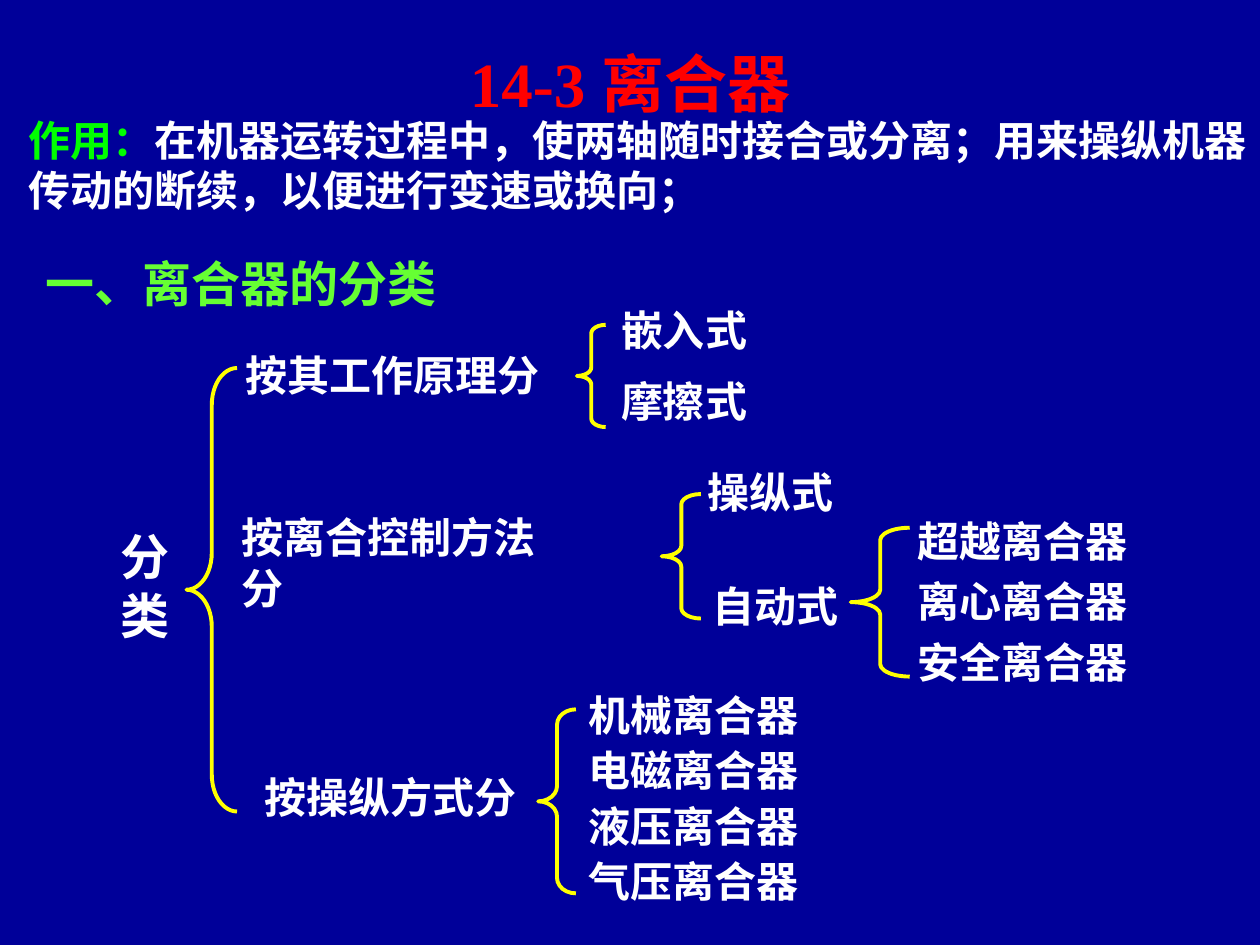
from lxml import etree
from pptx import Presentation
from pptx.dml.color import RGBColor
from pptx.enum.shapes import MSO_SHAPE
from pptx.enum.text import MSO_ANCHOR, MSO_AUTO_SIZE, PP_ALIGN
from pptx.oxml.ns import qn
from pptx.util import Cm, Pt

LEFT_BRACE = MSO_SHAPE.LEFT_BRACE
MIDDLE = MSO_ANCHOR.MIDDLE
TOP = MSO_ANCHOR.TOP
FIT_SHAPE = MSO_AUTO_SIZE.SHAPE_TO_FIT_TEXT
NO_FIT = MSO_AUTO_SIZE.NONE
LEFT = PP_ALIGN.LEFT
CENTER = PP_ALIGN.CENTER

FONT = "Noto Sans CJK SC"
TITLE_FONT = "Times New Roman"
NAVY, WHITE, YELLOW, RED = "000099", "FFFFFF", "FFFF00", "FF0000"
GREEN, LIME = "00FF00", "66FF33"


def rgb(value):
    """Turn a hex string into a colour."""
    return RGBColor.from_string(value)


class SlideBuilder:
    """Hold the style and the current slide."""

    def __init__(self, presentation):
        """Add a title-only slide with a plain background."""
        self.slide = presentation.slides.add_slide(presentation.slide_layouts[5])
        fill = self.slide.background.fill
        fill.solid()
        fill.fore_color.rgb = rgb(NAVY)

    def format(self, paragraph, size, color, align, latin=FONT):
        """Set the alignment and the bold font of a paragraph."""
        paragraph.alignment = align
        font = paragraph.font
        font.name = latin
        font.size = Pt(size)
        font.bold = True
        font.color.rgb = rgb(color)
        properties = paragraph._p.pPr.find(qn("a:defRPr"))
        east_asian = etree.Element(qn("a:ea"), typeface=FONT)
        properties.find(qn("a:latin")).addnext(east_asian)

    def title(self, text, left, top, width, height):
        """Move and format the title placeholder."""
        shape = self.slide.shapes.title
        shape.left, shape.top = Cm(left), Cm(top)
        shape.width, shape.height = Cm(width), Cm(height)
        frame = shape.text_frame
        frame.text = text
        frame.vertical_anchor = MIDDLE
        frame.auto_size = NO_FIT
        self.format(frame.paragraphs[0], 36, RED, CENTER, TITLE_FONT)

    def text(self, lines, left, top, width, height, size=24, color=WHITE,
             align=LEFT, wrap=False, spacing=None, anchor=TOP):
        """Add a text box with one paragraph for each line."""
        shape = self.slide.shapes.add_textbox(Cm(left), Cm(top), Cm(width), Cm(height))
        frame = shape.text_frame
        frame.word_wrap = wrap
        frame.auto_size = FIT_SHAPE
        frame.vertical_anchor = anchor
        for index, line in enumerate(lines):
            paragraph = frame.add_paragraph() if index else frame.paragraphs[0]
            paragraph.add_run().text = line
            paragraph.line_spacing = spacing
            self.format(paragraph, size, color, align)
        return frame

    def purpose(self, label, body, left, top, width, height):
        """Add a wrapped statement that opens with a coloured label."""
        frame = self.text([label], left, top, width, height, wrap=True, anchor=MIDDLE)
        paragraph = frame.paragraphs[0]
        paragraph.runs[0].font.color.rgb = rgb(GREEN)
        paragraph.add_run().text = body

    def brace(self, left, top, width, height):
        """Add a left brace whose curves take a twelfth of its height."""
        shape = self.slide.shapes.add_shape(
            LEFT_BRACE, Cm(left), Cm(top), Cm(width), Cm(height))
        shape.adjustments[0] = height / (12 * width)
        shape.shadow.inherit = False
        shape.fill.background()
        shape.line.color.rgb = rgb(YELLOW)
        shape.line.width = Pt(2.25)


def main():
    """Build the clutch classification slide."""
    presentation = Presentation()
    presentation.slide_width, presentation.slide_height = Cm(25.4), Cm(19.05)
    builder = SlideBuilder(presentation)

    builder.title("14-3 离合器", 1.9, 0.61, 21.6, 2.11)
    builder.purpose(
        "作用：",
        "在机器运转过程中，使两轴随时接合或分离；用来操纵机器传动的断续，以便进行变速或换向；",
        0.33, 2.18, 25.07, 2.29)
    builder.text(["一、离合器的分类"], 0.66, 4.98, 9.37, 1.45, size=28, color=LIME)
    builder.text(["分类"], 1.8, 10.49, 2.26, 2.64, size=28, align=CENTER, wrap=True)

    builder.text(["按其工作原理分"], 4.7, 6.71, 7.95, 1.47, wrap=True, spacing=1.2)
    builder.text(["按离合控制方法分"], 4.62, 10.19, 7.26, 1.27)
    builder.text(["按操纵方式分"], 5.08, 15.42, 5.59, 1.27, align=CENTER)

    for label, left, top in [("嵌入式", 12.27, 6.02), ("摩擦式", 12.27, 7.44),
                             ("操纵式", 14.02, 9.27), ("自动式", 14.12, 11.58)]:
        builder.text([label], left, top, 3.05, 1.27)

    builder.text(["超越离合器", "离心离合器", "安全离合器"],
                 18.24, 10.06, 5.16, 3.91, spacing=1.2)
    builder.text(["机械离合器", "电磁离合器", "液压离合器", "气压离合器"],
                 11.61, 13.67, 5.16, 4.72, spacing=1.1)

    for box in [(3.76, 7.42, 1.02, 8.94), (11.63, 6.55, 0.58, 2.06),
                (13.34, 9.96, 0.79, 2.51), (17.15, 10.64, 1.19, 3),
                (10.85, 14.3, 0.76, 3.71)]:
        builder.brace(*box)

    presentation.save("out.pptx")


if __name__ == "__main__":
    main()
